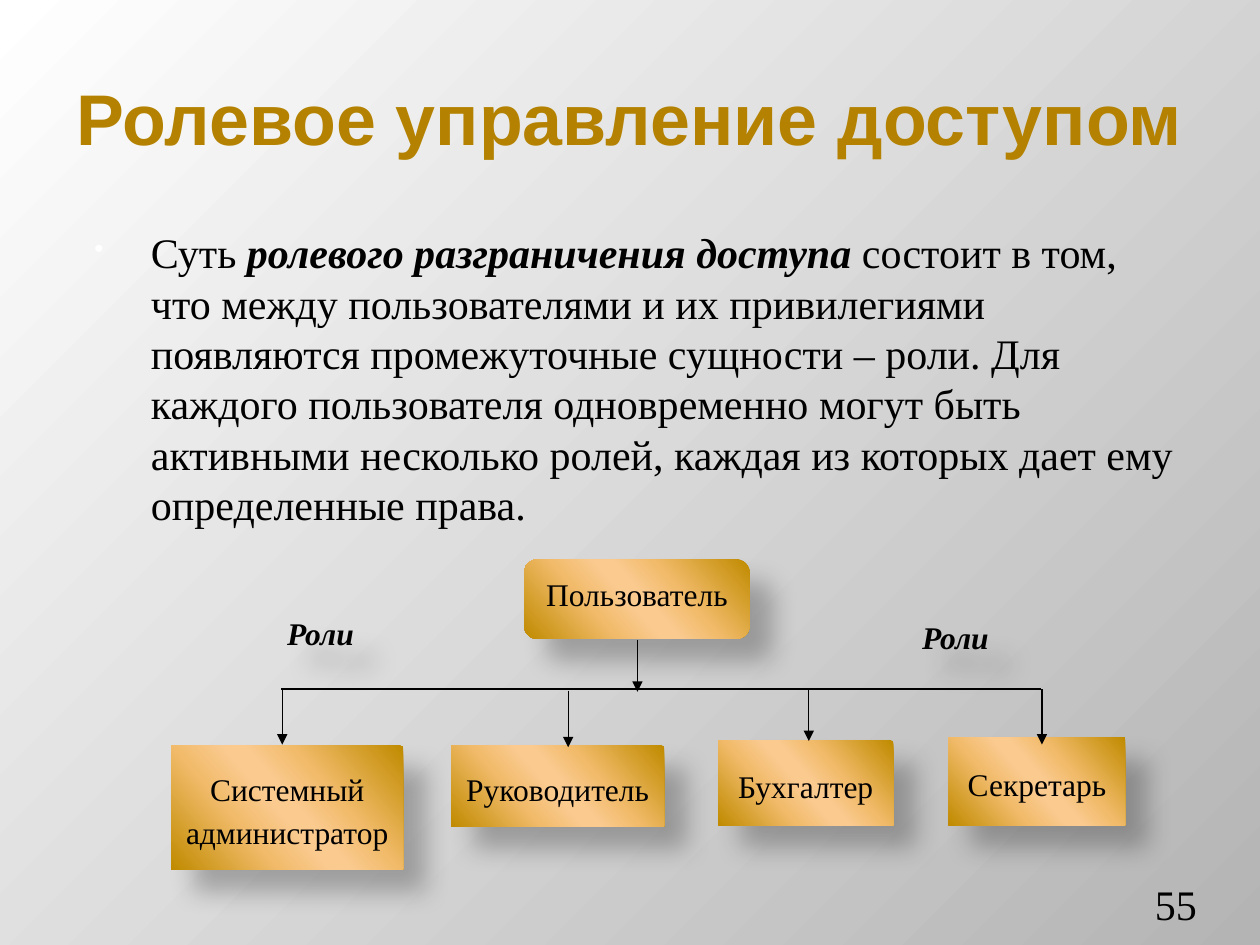
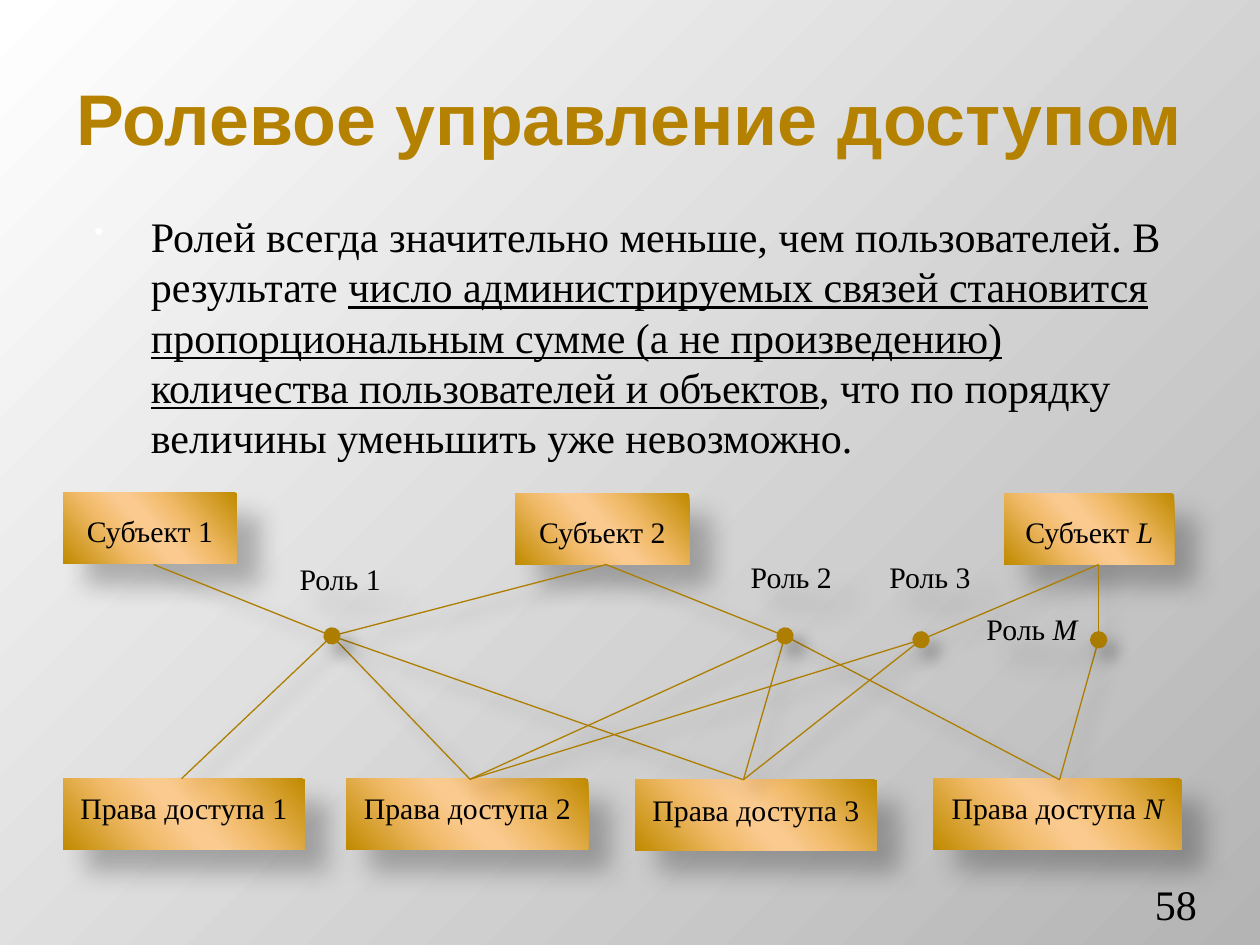
from lxml.etree import SubElement
from pptx import Presentation
from pptx.dml.color import RGBColor
from pptx.enum.shapes import MSO_CONNECTOR, MSO_SHAPE
from pptx.enum.text import MSO_ANCHOR, PP_ALIGN
from pptx.oxml.ns import qn
from pptx.util import Pt

BLACK = RGBColor(0x00, 0x00, 0x00)
WHITE = RGBColor(0xFF, 0xFF, 0xFF)
GREY = RGBColor(0xB4, 0xB4, 0xB4)
TITLE_GOLD = RGBColor(0xB4, 0x82, 0x00)
LINK_GOLD = RGBColor(0xAE, 0x7E, 0x00)
DARK_GOLD = RGBColor(0xC0, 0x8B, 0x00)
MID_GOLD = RGBColor(0xF2, 0xBB, 0x6B)
PALE_GOLD = RGBColor(0xFA, 0xCA, 0x8F)

PAGE_STOPS = [(0, WHITE), (100, GREY)]
BOX_STOPS = [(0, DARK_GOLD), (33, MID_GOLD), (47, PALE_GOLD),
             (53, PALE_GOLD), (68, MID_GOLD), (100, DARK_GOLD)]
BOX_SHADOW = {"alpha": 26, "blur": 15, "dist": 18}
LINK_SHADOW = {"alpha": 35, "blur": 10.2, "dist": 8}

SERIF = "Times New Roman"
TITLE_FONT = {"name": "Arial", "size": Pt(41), "bold": True}
BODY_FONT = {"name": SERIF, "size": Pt(24)}
ROLE_FONT = {"name": SERIF, "size": Pt(18)}
MODEL_FONT = {"name": SERIF, "size": Pt(17)}
BOLD_ITALIC = {"bold": True, "italic": True}
ITALIC = {"italic": True}
UNDERLINE = {"underline": True}
CENTER = {"alignment": PP_ALIGN.CENTER, "line_spacing": 1.15}
SPACED = {**CENTER, "space_after": Pt(10)}
MIDDLE = {"vertical_anchor": MSO_ANCHOR.MIDDLE}
TOP = {"vertical_anchor": MSO_ANCHOR.TOP}


def apply(obj, formats):
    """Set every attribute of a format dict on an object."""
    for name, value in formats.items():
        setattr(obj, name, value)


def add_color(parent, rgb):
    """Append an RGB colour element and return it."""
    return SubElement(parent, qn("a:srgbClr"), val=str(rgb))


def paint_gradient(element, stops, angle=None):
    """Turn the first solid fill into a linear gradient, or a corner one without angle."""
    solid = next(element.iter(qn("a:solidFill")))
    grad = SubElement(solid.getparent(), qn("a:gradFill"), rotWithShape="1")
    solid.getparent().replace(solid, grad)
    gs_list = SubElement(grad, qn("a:gsLst"))
    for pos, rgb in stops:
        add_color(SubElement(gs_list, qn("a:gs"), pos=str(pos * 1000)), rgb)
    if angle is None:
        circle = SubElement(grad, qn("a:path"), {"path": "circle"})
        SubElement(circle, qn("a:fillToRect"), r="100000", b="100000")
    else:
        SubElement(grad, qn("a:lin"), ang=str(angle * 60000), scaled="0")


def set_shadow(sp, shadow=None):
    """Replace the theme shadow by the given one, or by none."""
    effects = SubElement(sp.element.spPr, qn("a:effectLst"))
    if shadow:
        outer = SubElement(effects, qn("a:outerShdw"),
                           blurRad=str(Pt(shadow["blur"])), dist=str(Pt(shadow["dist"])),
                           dir=str(45 * 60000), rotWithShape="0")
        SubElement(add_color(outer, BLACK), qn("a:alpha"), val=str(shadow["alpha"] * 1000))


def write(sp, runs, font, para, frame, color=BLACK):
    """Fill a shape with one paragraph of (text, extra format) runs."""
    tf = sp.text_frame
    apply(tf, {"word_wrap": True, **frame})
    p = tf.paragraphs[0]
    apply(p, para)
    for text, extra in runs:
        r = p.add_run()
        r.text = text
        apply(r.font, {**font, **extra})
        r.font.color.rgb = color
    return p


def add_text(s, at, runs, font, para, frame=TOP, color=BLACK):
    """Add a text box and return it."""
    sp = s.shapes.add_textbox(*map(Pt, at))
    write(sp, runs, font, para, frame, color)
    return sp


def add_label(s, at, runs, font, para):
    """Add a label whose letters cast a soft shadow."""
    set_shadow(add_text(s, at, runs, font, para), BOX_SHADOW)


def add_box(s, at, runs, font, para, frame, kind=MSO_SHAPE.RECTANGLE):
    """Add a golden box with a soft shadow."""
    sp = s.shapes.add_shape(kind, *map(Pt, at))
    sp.fill.solid()
    paint_gradient(sp.element.spPr, BOX_STOPS, 139)
    sp.line.fill.background()
    set_shadow(sp, BOX_SHADOW)
    write(sp, runs, font, para, frame)


def add_line(s, start, end, color=BLACK, tail=None, size="med", shadow=None):
    """Add a thin line with an optional end mark."""
    c = s.shapes.add_connector(MSO_CONNECTOR.STRAIGHT, *map(Pt, (*start, *end)))
    c.line.color.rgb = color
    c.line.width = Pt(0.75)
    if tail:
        SubElement(c.line.fill._xPr, qn("a:tailEnd"), type=tail, w=size, len=size)
    set_shadow(c, shadow)


def add_slide(prs, number, body_top, runs):
    """Add a slide with its title, bulleted body text and page number."""
    s = prs.slides.add_slide(prs.slide_layouts[6])
    add_text(s, (36, 21.6, 648, 90), [("Ролевое управление доступом", {})], TITLE_FONT,
             {"alignment": PP_ALIGN.CENTER}, {**MIDDLE, "margin_left": 0, "margin_right": 0},
             TITLE_GOLD)
    body = s.shapes.add_textbox(*map(Pt, (36, body_top, 648, 370.8)))
    ppr = body.text_frame.paragraphs[0]._p.get_or_add_pPr()
    ppr.set("marL", str(Pt(43.2)))
    ppr.set("indent", str(Pt(-32.4)))
    add_color(SubElement(ppr, qn("a:buClr")), WHITE)
    SubElement(ppr, qn("a:buSzPct"), val="65000")
    SubElement(ppr, qn("a:buChar"), char="•")
    write(body, runs, BODY_FONT, {}, TOP)
    add_text(s, (624.2, 505.4, 59.8, 28.8), [(number, {})], BODY_FONT,
             {"alignment": PP_ALIGN.RIGHT},
             {"vertical_anchor": MSO_ANCHOR.BOTTOM, "margin_left": 0, "margin_right": 0})
    return s


def add_role_tree(s):
    """Draw the user box and the roles below it."""
    add_box(s, (299.5, 319.7, 128.9, 45.4), [("Пользователь", {})], ROLE_FONT, SPACED, TOP,
            MSO_SHAPE.ROUNDED_RECTANGLE)
    roles = [("Системный администратор", 97.9, 426.2, 132.5, 70.6),
             ("Руководитель", 257.8, 426.2, 121.7, 46.1),
             ("Бухгалтер", 410.4, 423.4, 100.1, 48.2),
             ("Секретарь", 542.2, 421.2, 100.8, 50.4)]
    for name, *at in roles:
        add_box(s, at, [(name, {})], ROLE_FONT, CENTER, MIDDLE)
    bar = 393.8
    add_line(s, (160.6, bar), (594.7, bar))
    for x, top, bottom in [(161.3, bar, 425.5), (324.7, 394.6, 427), (462.2, bar, 423.4),
                           (595.4, bar, 425.5), (364.3, 365.8, 395.3)]:
        add_line(s, (x, top), (x, bottom), tail="triangle")
    for x, y in [(519.8, 346.3), (157, 344.2)]:
        add_label(s, (x, y, 70.6, 42.5), [("Роли", BOLD_ITALIC)], ROLE_FONT,
                  {**SPACED, "alignment": PP_ALIGN.LEFT})


def add_role_model(s):
    """Draw subjects, roles and access rights with the links between them."""
    subjects = [("1", {}, 36, 281.5, 99.4), ("2", {}, 294.5, 282.2, 99.4),
                ("L", ITALIC, 573.8, 282.2, 97.2)]
    rights = [("1", {}, 36, 445, 138.2), ("2", {}, 198, 445, 138.2),
              ("3", {}, 362.9, 445.7, 138.2), ("N", ITALIC, 533.5, 445, 141.8)]
    for word, row, frame in [("Субъект ", subjects, MIDDLE), ("Права доступа ", rights, TOP)]:
        for index, style, x, y, width in row:
            add_box(s, (x, y, width, 40.3), [(word, {}), (index, style)],
                    MODEL_FONT, SPACED, frame)

    subject_at = {"1": (87.8, 322.6), "2": (346.3, 322.6), "L": (627.8, 322.6)}
    role_at = {"1": (189.7, 363.4), "2": (448.6, 363.4), "3": (526.3, 365.6),
               "M": (627.8, 365.6)}
    right_at = {"1": (103.7, 445), "2": (268.6, 445.3), "3": (424.8, 445.6),
                "N": (605.5, 445.6)}
    style = {"color": LINK_GOLD, "shadow": LINK_SHADOW}
    for role, targets in {"1": "123", "2": "23N", "3": "23", "M": "N"}.items():
        for right in targets:
            add_line(s, role_at[role], right_at[right], **style)
    add_line(s, subject_at["2"], role_at["1"], **style)
    for subject, role in ["11", "22", "L3", "LM"]:
        add_line(s, subject_at[subject], role_at[role], tail="oval", size="lg", **style)

    for index, extra, x, y, width in [("1", {}, 159.1, 313.9, 70.6), ("2", {}, 416.9, 312.5, 70.6),
                                      ("3", {}, 496.1, 312.5, 70.6),
                                      ("M", ITALIC, 550.8, 342.7, 77.8)]:
        add_label(s, (x, y, width, 40.3), [("Роль ", {}), (index, extra)], MODEL_FONT, SPACED)


def main():
    """Build and save both slides."""
    prs = Presentation()
    apply(prs, {"slide_width": Pt(720), "slide_height": Pt(540)})
    prs.slide_master.background.fill.solid()
    paint_gradient(prs.slide_master.element, PAGE_STOPS)
    add_role_tree(add_slide(prs, "55", 126, [
        ("Суть ", {}),
        ("ролевого разграничения доступа ", BOLD_ITALIC),
        ("состоит в том, что между пользователями и их привилегиями появляются "
         "промежуточные сущности – роли. Для каждого пользователя одновременно могут быть "
         "активными несколько ролей, каждая из которых дает ему определенные права.", {})]))
    add_role_model(add_slide(prs, "58", 116.6, [
        ("Ролей всегда значительно меньше, чем пользователей. В результате ", {}),
        ("число администрируемых связей становится пропорциональным сумме "
         "(а не произведению) количества пользователей и объектов", UNDERLINE),
        (", что по порядку величины уменьшить уже невозможно.", {})]))
    prs.save("out.pptx")


if __name__ == "__main__":
    main()
